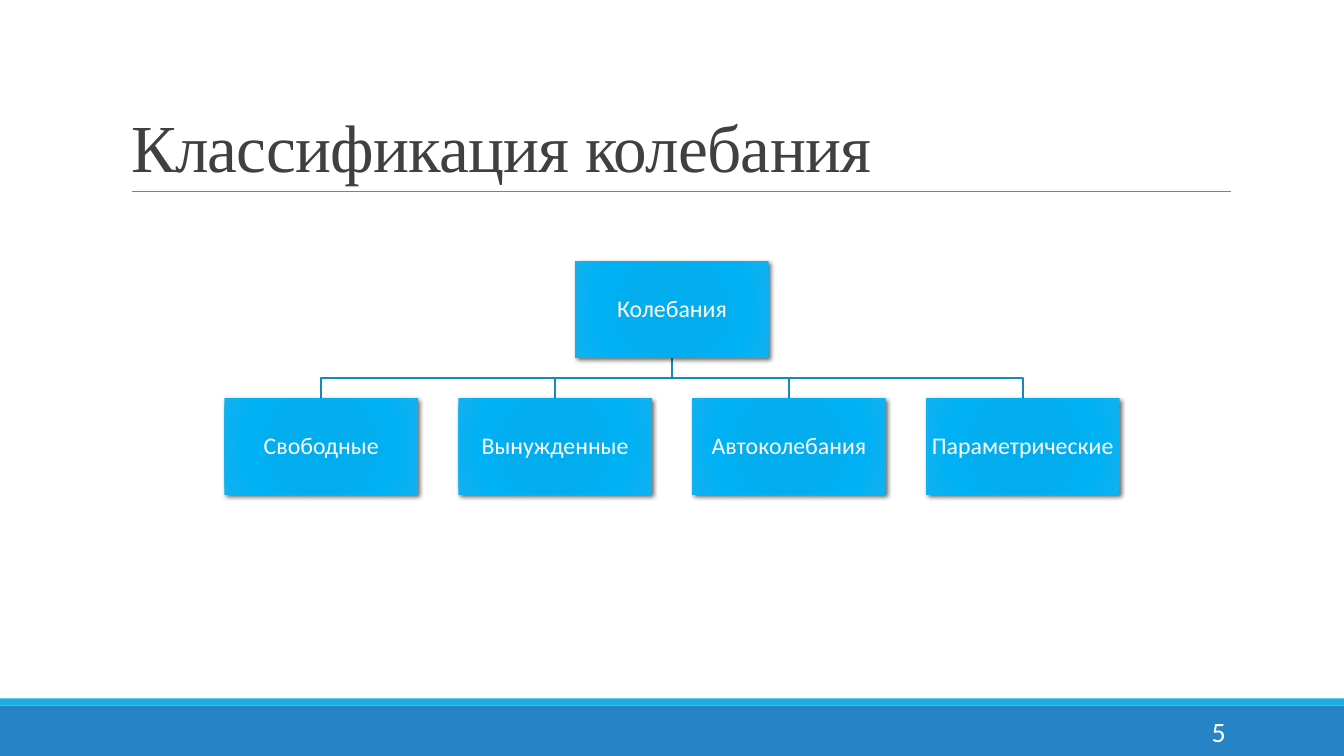
from pptx import Presentation
from pptx.dml.color import RGBColor
from pptx.enum.shapes import MSO_SHAPE
from pptx.enum.text import MSO_ANCHOR, MSO_AUTO_SIZE, PP_ALIGN
from pptx.oxml import parse_xml
from pptx.oxml.ns import nsdecls
from pptx.util import Pt

# Content
TITLE = "Классификация колебания"
ROOT = "Колебания"
KINDS = ["Свободные", "Вынужденные", "Автоколебания", "Параметрические"]
PAGE = "5"

# Layout and colours
WIDE, HIGH = 960, 540
BOX_W, BOX_H, STEP = 138.24, 69.12, 167.04
ROOT_Y, KIND_Y = 186.48, 284.4
BARS = [(504, 36, "2683C6"), (498.96, 5.04, "1CADE4")]
STOPS = [(0, "00ADEF"), (34, "03ADEE"), (70, "00B1F5"), (100, "12B1EE")]


def color(code):
    return RGBColor.from_string(code)


def write(shape, text, size=17, font="Calibri", ink="FFFFFF", align=PP_ALIGN.CENTER,
          anchor=MSO_ANCHOR.MIDDLE, inset=(7.2, 3.6), lead=1.0, track=0):
    frame = shape.text_frame
    frame.word_wrap = True
    frame.auto_size = MSO_AUTO_SIZE.NONE
    frame.vertical_anchor = anchor
    frame.margin_left = frame.margin_right = Pt(inset[0])
    frame.margin_top = frame.margin_bottom = Pt(inset[1])
    para = frame.paragraphs[0]
    para.alignment, para.line_spacing = align, lead
    run = para.add_run()
    run.text = text
    run.font.size, run.font.name = Pt(size), font
    run.font.color.rgb = color(ink)
    if track:
        run.font._element.set("spc", str(round(track * 100)))


def add_rect(x, y, w, h):
    rect = slide.shapes.add_shape(MSO_SHAPE.RECTANGLE, Pt(x), Pt(y), Pt(w), Pt(h))
    rect.shadow.inherit = False
    rect.line.fill.background()
    return rect


def add_box(text, mid, y):
    box = add_rect(mid - BOX_W / 2, y, BOX_W, BOX_H)
    stops = "".join(f'<a:gs pos="{pos * 1000}"><a:srgbClr val="{code}"/></a:gs>'
                    for pos, code in STOPS)
    props = box._element.spPr
    props.insert(2, parse_xml(
        f'<a:gradFill {nsdecls("a")} rotWithShape="1"><a:gsLst>{stops}</a:gsLst>'
        '<a:path path="circle"><a:fillToRect l="100000" t="100000" r="100000" b="100000"/>'
        '</a:path></a:gradFill>'))
    props.find("{*}effectLst").append(parse_xml(
        f'<a:outerShdw {nsdecls("a")} blurRad="{Pt(3.5)}" dist="{Pt(2)}" dir="2700000" '
        'algn="tl" rotWithShape="0"><a:srgbClr val="000000"><a:alpha val="60000"/>'
        '</a:srgbClr></a:outerShdw>'))
    write(box, text, inset=(0.72, 0.72), lead=0.9)


def add_branch(mid):
    top = ROOT_Y + BOX_H
    bend = (top + KIND_Y) / 2
    path = slide.shapes.build_freeform(Pt(WIDE / 2), Pt(top))
    path.add_line_segments([(Pt(x), Pt(y)) for x, y in
                            [(WIDE / 2, bend), (mid, bend), (mid, KIND_Y)]], close=False)
    branch = path.convert_to_shape()
    branch.shadow.inherit = False
    branch.fill.background()
    branch.line.color.rgb = color("168BB7")
    branch.line.width = Pt(1.25)


deck = Presentation()
deck.slide_width, deck.slide_height = Pt(WIDE), Pt(HIGH)
slide = deck.slides.add_slide(deck.slide_layouts[5])

# Footer bars
for y, h, code in BARS:
    bar = add_rect(0, y, WIDE, h)
    bar.fill.solid()
    bar.fill.fore_color.rgb = color(code)

# Title and its rule
title = slide.shapes.title
title.left, title.top, title.width, title.height = Pt(86.4), Pt(22.32), Pt(792), Pt(114.48)
write(title, TITLE, size=48, font="Times New Roman", ink="404040", align=PP_ALIGN.LEFT,
      anchor=MSO_ANCHOR.BOTTOM, lead=0.85, track=-0.5)
rule = slide.shapes.add_connector(1, Pt(94.32), Pt(136.8), Pt(879.12), Pt(136.8))
rule.line.color.rgb = color("808080")
rule.line.width = Pt(0.5)
rule._element.spPr.append(parse_xml(f'<a:effectLst {nsdecls("a")}/>'))

# Tree: branches behind, boxes in front
mids = [WIDE / 2 + (i - (len(KINDS) - 1) / 2) * STEP for i in range(len(KINDS))]
for mid in mids:
    add_branch(mid)
add_box(ROOT, WIDE / 2, ROOT_Y)
for text, mid in zip(KINDS, mids):
    add_box(text, mid, KIND_Y)

# Page number
page = slide.shapes.add_textbox(Pt(779.76), Pt(508.32), Pt(102.96), Pt(28.8))
write(page, PAGE, size=20, align=PP_ALIGN.RIGHT)

deck.save("out.pptx")
